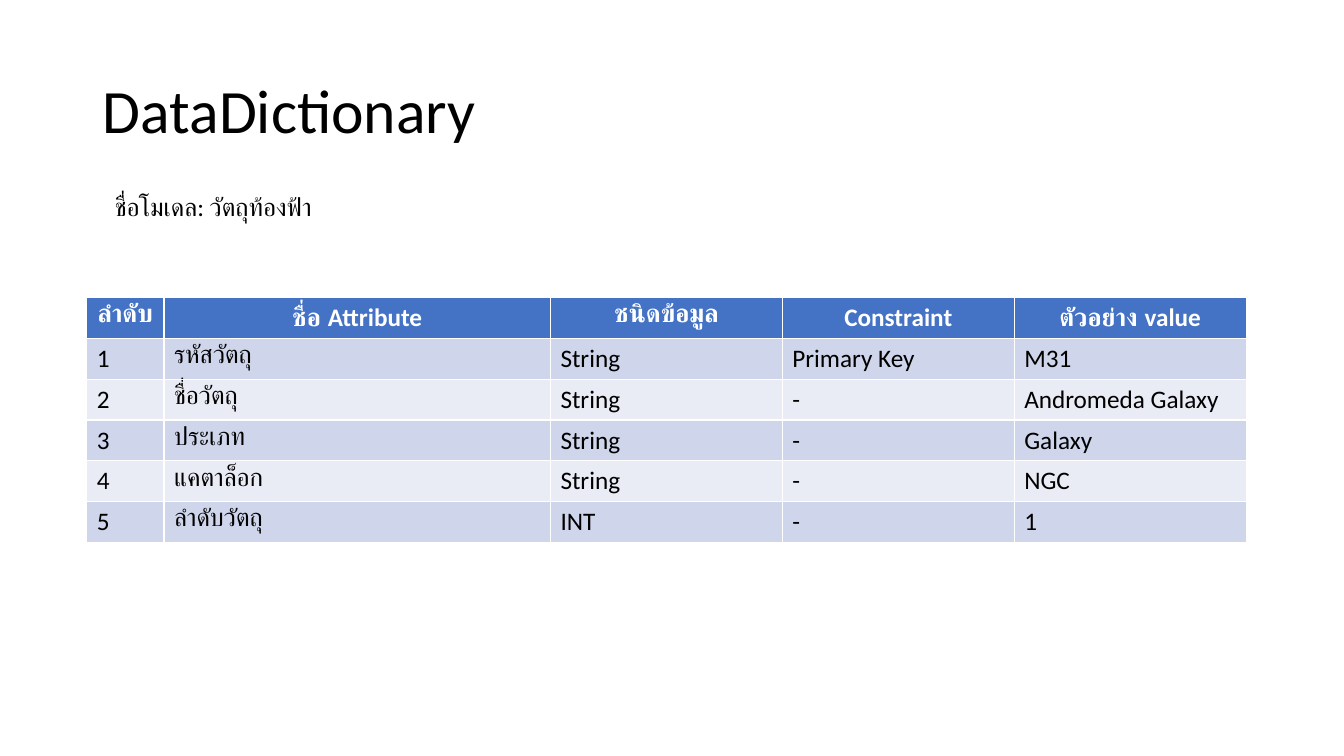
from pptx import Presentation
from pptx.dml.color import RGBColor
from pptx.enum.text import MSO_ANCHOR, PP_ALIGN
from pptx.util import Inches, Pt

LEFT, CENTER = PP_ALIGN.LEFT, PP_ALIGN.CENTER
MIDDLE = MSO_ANCHOR.MIDDLE
TITLE_ONLY = 5

BLACK = RGBColor(0x00, 0x00, 0x00)
WHITE = RGBColor(0xFF, 0xFF, 0xFF)
HEADER_BLUE = RGBColor(0x44, 0x72, 0xC4)
BANDS = (RGBColor(0xE9, 0xEB, 0xF5), RGBColor(0xCF, 0xD5, 0xEA))

TITLE_FONT = {"name": "Calibri", "size": Pt(44), "bold": False}
BODY_FONT = {"name": "Calibri", "size": Pt(18), "bold": False}
HEADER_FONT = {**BODY_FONT, "bold": True}

TITLE_BOX = (0.92, 0.4, 11.5, 1.45)
MODEL_BOX = (1.04, 1.85, 4.09, 0.53)
TABLE_BOX = (0.86, 2.95, 11.5, 2.43)
COLUMN_SHARES = (1 / 15, 1 / 3, 0.2, 0.2, 0.2)

ATTRIBUTES = (
    ("ลำดับ", "ชื่อ Attribute", "ชนิดข้อมูล", "Constraint", "ตัวอย่าง value"),
    ("1", "รหัสวัตถุ", "String", "Primary Key", "M31"),
    ("2", "ชื่อวัตถุ", "String", "-", "Andromeda Galaxy"),
    ("3", "ประเภท", "String", "-", "Galaxy"),
    ("4", "แคตาล็อก", "String", "-", "NGC"),
    ("5", "ลำดับวัตถุ", "INT", "-", "1"),
)


def write_text(text_frame, text, font_format, color, alignment=LEFT):
    paragraph = text_frame.paragraphs[0]
    paragraph.alignment = alignment
    run = paragraph.add_run()
    run.text = text
    for attribute, value in font_format.items():
        setattr(run.font, attribute, value)
    run.font.color.rgb = color


def add_title(slide, box):
    title = slide.shapes.title
    for attribute, length in zip(("left", "top", "width", "height"), box):
        setattr(title, attribute, Inches(length))
    title.text_frame.vertical_anchor = MIDDLE
    write_text(title.text_frame, "DataDictionary", TITLE_FONT, BLACK)
    title.text_frame.paragraphs[0].line_spacing = 0.9


def add_model_name(slide, box):
    model_name = slide.shapes.add_textbox(*map(Inches, box))
    model_name.text_frame.word_wrap = True
    write_text(model_name.text_frame, "ชื่อโมเดล: วัตถุท้องฟ้า", BODY_FONT, BLACK)


def add_attribute_table(slide, box):
    frame = slide.shapes.add_table(
        len(ATTRIBUTES), len(COLUMN_SHARES), *map(Inches, box)
    )
    table = frame.table
    for column, share in zip(table.columns, COLUMN_SHARES):
        column.width = Inches(box[2] * share)
    for row_index, texts in enumerate(ATTRIBUTES):
        is_header = row_index == 0
        for column_index, text in enumerate(texts):
            cell = table.cell(row_index, column_index)
            cell.fill.solid()
            if is_header:
                cell.fill.fore_color.rgb = HEADER_BLUE
                write_text(cell.text_frame, text, HEADER_FONT, WHITE, CENTER)
            else:
                cell.fill.fore_color.rgb = BANDS[row_index % 2]
                write_text(cell.text_frame, text, BODY_FONT, BLACK)


def main():
    presentation = Presentation()
    presentation.slide_width = Inches(13.33)
    presentation.slide_height = Inches(7.5)
    slide = presentation.slides.add_slide(presentation.slide_layouts[TITLE_ONLY])
    add_title(slide, TITLE_BOX)
    add_attribute_table(slide, TABLE_BOX)
    add_model_name(slide, MODEL_BOX)
    presentation.save("out.pptx")


if __name__ == "__main__":
    main()
